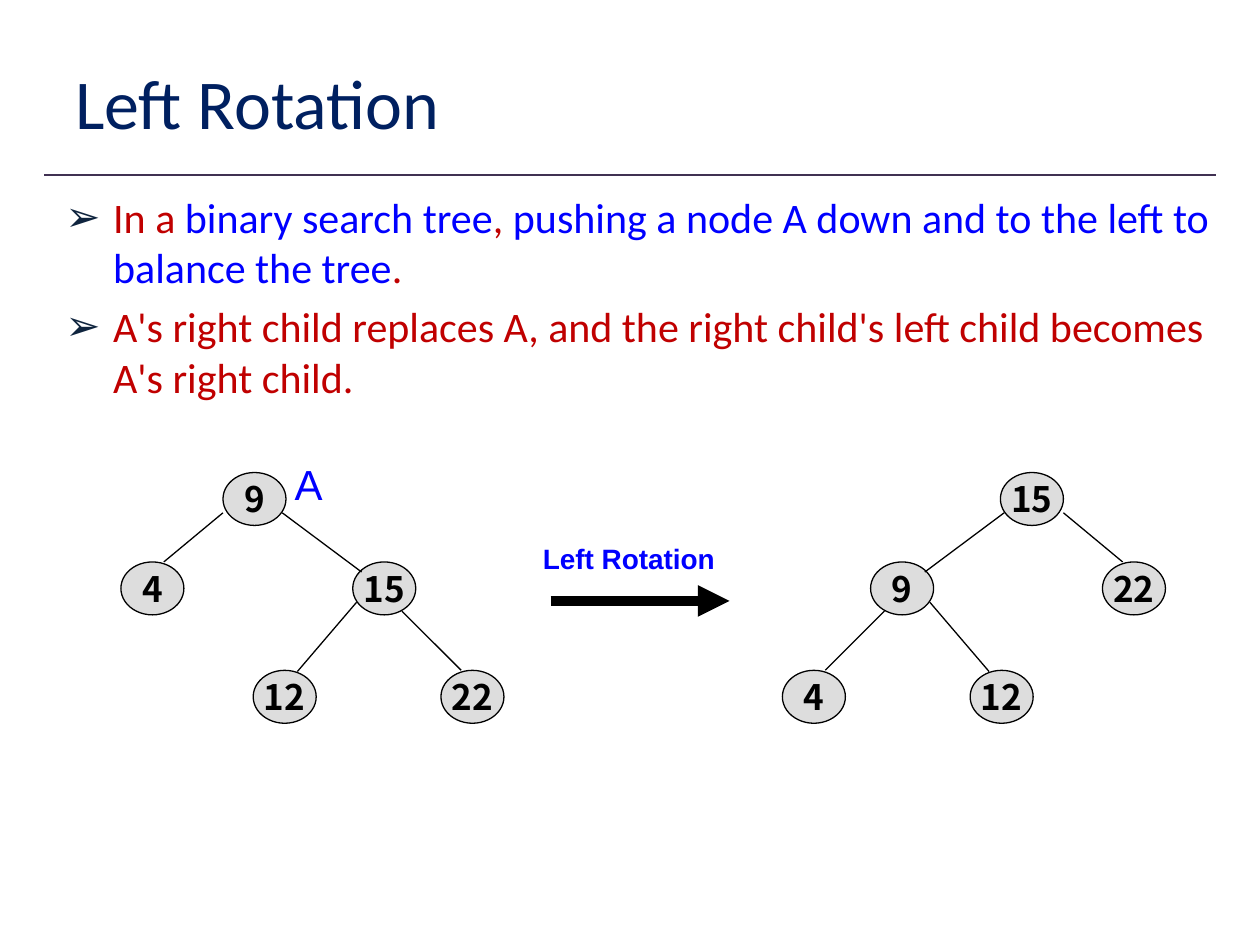
"""Build a slide that shows a left rotation of a binary search tree."""
from dataclasses import dataclass
from typing import NamedTuple

from lxml.etree import SubElement
from pptx import Presentation
from pptx.dml.color import RGBColor as Rgb
from pptx.enum.shapes import MSO_CONNECTOR as Link, MSO_SHAPE as Form
from pptx.enum.text import MSO_ANCHOR as Anchor, PP_ALIGN as Align
from pptx.oxml.ns import qn
from pptx.util import Inches, Pt


@dataclass(frozen=True)
class Theme:
    navy: str = "002060"
    rule: str = "403152"
    mark: str = "0F243E"
    red: str = "C00000"
    blue: str = "0000FF"
    black: str = "000000"
    gray: str = "DDDDDD"
    main: str = "Calibri"
    label: str = "Arial"
    node: str = "Noto Sans CJK KR"
    title: int = 40
    body: int = 24
    key: int = 20
    note: int = 16
    thin: float = 0.75


class Box(NamedTuple):
    left: float
    top: float
    width: float
    height: float


class Edge(NamedTuple):
    x1: float
    y1: float
    x2: float
    y2: float


class Tree(NamedTuple):
    keys: tuple[str, ...]
    flip: bool


THEME = Theme()
SPAN = 10.21
NODE_W, NODE_H = 0.5, 0.42
SPOTS = ((1.77, 3.75), (0.96, 4.46), (2.8, 4.46), (2.01, 5.32), (3.5, 5.32))
EDGES = (
    Edge(1.77, 4.07, 1.3, 4.46),
    Edge(2.24, 4.07, 2.87, 4.54),
    Edge(2.83, 4.78, 2.36, 5.33),
    Edge(3.19, 4.85, 3.66, 5.32),
)
TREES = (
    Tree(("9", "4", "15", "12", "22"), False),
    Tree(("15", "22", "9", "12", "4"), True),
)
POINTS = (
    (
        ("In a ", THEME.red),
        ("binary search tree", THEME.blue),
        (", ", THEME.red),
        ("pushing a node A down and to the left to balance the tree", THEME.blue),
        (".", THEME.red),
    ),
    (("A's right child replaces A, and the right child's left child becomes "
      "A's right child.", THEME.red),),
)


def style(font, face: str, size: int, color: str, bold: bool = False) -> None:
    font.name, font.size, font.bold = face, Pt(size), bold
    font.color.rgb = Rgb.from_string(color)


def add_frame(slide, box: Box):
    frame = slide.shapes.add_textbox(*map(Inches, box)).text_frame
    frame.word_wrap = True
    return frame


def add_label(slide, box: Box, text: str, face: str, size: int, color: str,
              bold: bool = False, anchor: Anchor = Anchor.TOP) -> None:
    frame = add_frame(slide, box)
    frame.vertical_anchor = anchor
    para = frame.paragraphs[0]
    para.text = text
    style(para.font, face, size, color, bold)


def add_line(slide, edge: Edge, color: str, width: float, arrow: bool = False) -> None:
    line = slide.shapes.add_connector(Link.STRAIGHT, *map(Inches, edge))
    line.line.color.rgb = Rgb.from_string(color)
    line.line.width = Pt(width)
    if arrow:
        SubElement(line.line._get_or_add_ln(), qn("a:tailEnd"), type="triangle")
    SubElement(line._element.spPr, qn("a:effectLst"))


def add_bullet(para) -> None:
    props = para._p.get_or_add_pPr()
    props.set("marL", str(Inches(0.38)))
    props.set("indent", str(Inches(-0.38)))
    SubElement(SubElement(props, qn("a:buClr")), qn("a:srgbClr"), val=THEME.mark)
    SubElement(props, qn("a:buFont"), typeface=THEME.label)
    SubElement(props, qn("a:buChar"), char="➢")


def add_points(slide, box: Box) -> None:
    frame = add_frame(slide, box)
    for index, parts in enumerate(POINTS):
        para = frame.add_paragraph() if index else frame.paragraphs[0]
        add_bullet(para)
        if index:
            para.space_before = Pt(0.2 * THEME.body)
        para.font.name, para.font.size = THEME.main, Pt(THEME.body)
        for text, color in parts:
            run = para.add_run()
            run.text = text
            run.font.color.rgb = Rgb.from_string(color)


def add_node(slide, left: float, top: float, key: str) -> None:
    node = slide.shapes.add_shape(Form.OVAL, *map(Inches, (left, top, NODE_W, NODE_H)))
    node.shadow.inherit = False
    node.fill.solid()
    node.fill.fore_color.rgb = Rgb.from_string(THEME.gray)
    node.line.color.rgb = Rgb.from_string(THEME.black)
    node.line.width = Pt(THEME.thin)
    frame = node.text_frame
    frame.word_wrap = False
    frame.vertical_anchor = Anchor.MIDDLE
    para = frame.paragraphs[0]
    para.text, para.alignment = key, Align.CENTER
    style(para.font, THEME.node, THEME.key, THEME.black, True)


def add_tree(slide, tree: Tree) -> None:
    for (left, top), key in zip(SPOTS, tree.keys):
        add_node(slide, SPAN - left - NODE_W if tree.flip else left, top, key)
    for edge in EDGES:
        if tree.flip:
            edge = edge._replace(x1=SPAN - edge.x1, x2=SPAN - edge.x2)
        add_line(slide, edge, THEME.black, THEME.thin)


def main() -> None:
    deck = Presentation()
    deck.slide_width, deck.slide_height = Inches(10), Inches(7.5)
    slide = deck.slides.add_slide(deck.slide_layouts[6])
    add_line(slide, Edge(0.35, 1.39, 9.65, 1.39), THEME.rule, 1)
    add_label(slide, Box(0.5, 0.3, 9, 1.01), "Left Rotation", THEME.main,
              THEME.title, THEME.navy, anchor=Anchor.MIDDLE)
    add_points(slide, Box(0.42, 1.47, 9.33, 1.95))
    add_line(slide, Edge(4.37, 4.77, 5.79, 4.77), THEME.black, 6, arrow=True)
    add_label(slide, Box(4.21, 4.25, 1.57, 0.37), "Left Rotation", THEME.label,
              THEME.note, THEME.blue, bold=True)
    for tree in TREES:
        add_tree(slide, tree)
    add_label(slide, Box(2.24, 3.59, 0.47, 0.5), "A", THEME.label,
              THEME.body, THEME.blue)
    deck.save("out.pptx")


if __name__ == "__main__":
    main()
